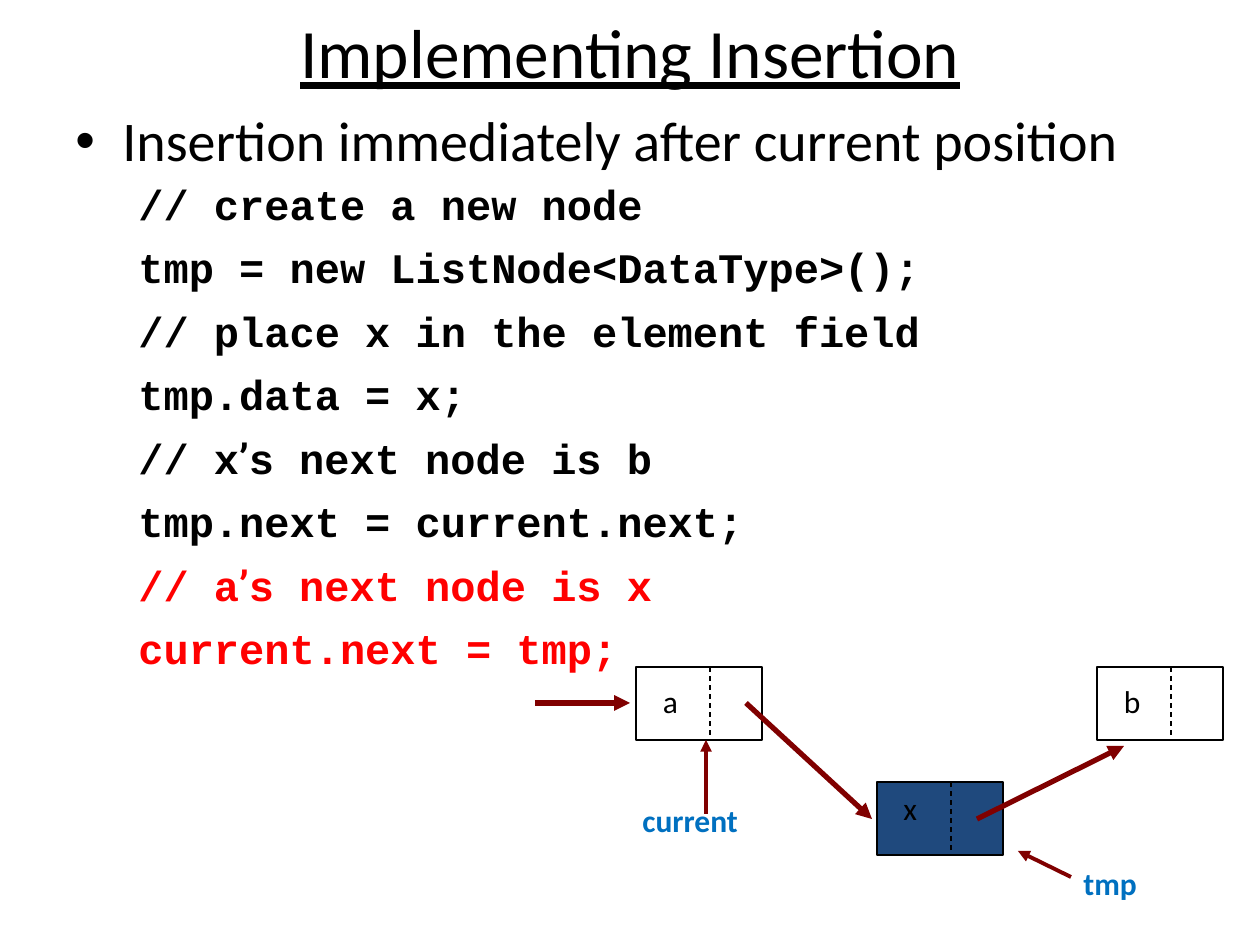
"""Builds the slide on inserting a node into a linked list."""
import pptx
import pptx.dml.color
import pptx.enum.dml
import pptx.enum.shapes
import pptx.enum.text
import pptx.oxml
import pptx.oxml.ns
import pptx.util

BLACK = pptx.dml.color.RGBColor(0x00, 0x00, 0x00)
RED = pptx.dml.color.RGBColor(0xFF, 0x00, 0x00)
MAROON = pptx.dml.color.RGBColor(0x80, 0x00, 0x00)
NAVY = pptx.dml.color.RGBColor(0x1F, 0x49, 0x7D)
BLUE = pptx.dml.color.RGBColor(0x00, 0x70, 0xC0)

NODE_WIDTH, NODE_HEIGHT, DIVIDER = 126, 73, 74
LIST_TOP, NEW_TOP = 667, 782
ANCHOR = pptx.enum.text.MSO_ANCHOR
ALIGN = pptx.enum.text.PP_ALIGN

CODE = [
    ("// create a new node", BLACK),
    ("tmp = new ListNode<DataType>();", BLACK),
    ("// place x in the element field", BLACK),
    ("tmp.data = x;", BLACK),
    ("// x’s next node is b", BLACK),
    ("tmp.next = current.next;", BLACK),
    ("// a’s next node is x", RED),
    ("current.next = tmp;", RED),
]


def px(length):
    return pptx.util.Emu(round(length * 914400 / 126))


def add_element(parent, tag, **attributes):
    element = pptx.oxml.ns.qn(f"a:{tag}")
    child = parent.makeelement(element, attributes)
    parent.append(child)


class ListSlide:
    """Holds the style and the current slide."""

    font = "Calibri"
    code_font = "Courier New"
    quote_font = "Roboto"

    def __init__(self, deck):
        self.slide = deck.slides.add_slide(deck.slide_layouts[5])

    def style(self, run, size, color, font=None, bold=False):
        run.font.name = font or self.font
        run.font.size = pptx.util.Pt(size)
        run.font.bold = bold
        run.font.color.rgb = color

    def title(self, text, left, top, width, height):
        title = self.slide.shapes.title
        title.left, title.top, title.width, title.height = map(px, (left, top, width, height))
        frame = title.text_frame
        frame.text = text
        frame.vertical_anchor = ANCHOR.MIDDLE
        frame.auto_size = pptx.enum.text.MSO_AUTO_SIZE.NONE
        heading = frame.paragraphs[0]
        heading.alignment = ALIGN.CENTER
        self.style(heading.runs[0], 39.6, BLACK)
        heading.runs[0].font.underline = True

    def text_box(self, left, top, width, height, wrap):
        box = self.slide.shapes.add_textbox(*map(px, (left, top, width, height)))
        box.text_frame.word_wrap = wrap
        return box.text_frame

    def box(self, left, top, width, height):
        box = self.slide.shapes.add_shape(
            pptx.enum.shapes.MSO_SHAPE.ROUNDED_RECTANGLE,
            *map(px, (left, top, width, height)),
        )
        box.adjustments[0] = 0
        box.shadow.inherit = False
        box.fill.background()
        box.line.fill.background()
        return box

    def name(self, text, left, top, width, height):
        frame = self.text_box(left, top, width, height, False)
        frame.text = text
        self.style(frame.paragraphs[0].runs[0], 18, BLACK)
        return frame

    def pointer(self, text, left, top, width, height):
        frame = self.box(left, top, width, height).text_frame
        frame.text = text
        frame.word_wrap = False
        frame.vertical_anchor = ANCHOR.TOP
        label = frame.paragraphs[0]
        label.alignment = ALIGN.LEFT
        label.line_spacing = 0.95
        self.style(label.runs[0], 18, BLUE, bold=True)

    def indent(self, paragraph, margin, hanging):
        properties = paragraph._p.get_or_add_pPr()
        properties.set("marL", str(px(margin)))
        properties.set("indent", str(-px(hanging)))
        return properties

    def steps(self, point, code, left, top, width, height):
        frame = self.text_box(left, top, width, height, True)
        frame.text = point
        bullet = frame.paragraphs[0]
        properties = self.indent(bullet, 47, 47)
        add_element(properties, "buFont", typeface="Arial")
        add_element(properties, "buChar", char="•")
        bullet.line_spacing = 0.93
        self.style(bullet.runs[0], 32, BLACK)
        for statement, color in code:
            line = frame.add_paragraph()
            line.level = 1
            self.indent(line, 102, 39)
            line.space_before = pptx.util.Pt(2.5)
            line.space_after = pptx.util.Pt(5)
            for part in statement.partition("’"):
                if part:
                    run = line.add_run()
                    run.text = part
                    font = self.quote_font if part == "’" else self.code_font
                    self.style(run, 24, color, font, bold=True)

    def line(self, start, end, color, width):
        line = self.slide.shapes.add_connector(
            pptx.enum.shapes.MSO_CONNECTOR.STRAIGHT, *map(px, start + end)
        )
        line.line.color.rgb = color
        line.line.width = pptx.util.Pt(width)
        add_element(line._element.spPr, "effectLst")
        return line

    def arrow(self, start, end, width=3):
        arrow = self.line(start, end, MAROON, width)
        add_element(arrow.line._get_or_add_ln(), "tailEnd", type="triangle")

    def node(self, left, top, fill=None):
        node = self.box(left, top, NODE_WIDTH, NODE_HEIGHT)
        if fill is not None:
            node.fill.solid()
            node.fill.fore_color.rgb = fill
        node.line.color.rgb = BLACK
        node.line.width = pptx.util.Pt(0.75)
        middle = left + DIVIDER
        divider = self.line((middle, top), (middle, top + NODE_HEIGHT), BLACK, 0.75)
        divider.line.dash_style = pptx.enum.dml.MSO_LINE.DASH

    def list_node(self, name, left):
        self.node(left, LIST_TOP)
        frame = self.name(name, left, LIST_TOP + 6, NODE_WIDTH, 60)
        frame.word_wrap = True
        frame.margin_left = px(27)
        frame.vertical_anchor = ANCHOR.MIDDLE
        frame.paragraphs[0].line_spacing = 0.95


def main():
    deck = pptx.Presentation()
    deck.slide_width, deck.slide_height = px(1260), px(945)
    page = ListSlide(deck)
    page.title("Implementing Insertion", 0, 7, 1260, 88)
    page.list_node("a", 636)
    page.list_node("b", 1097)
    page.node(877, NEW_TOP, NAVY)
    page.name("x", 891, NEW_TOP + 1, 47, 63)
    page.pointer("current", 630, 798, 135, 49)
    page.pointer("tmp", 1071, 861, 83, 49)
    page.arrow((535, 703), (630, 703))
    page.arrow((746, 703), (872, 819))
    page.arrow((977, 819), (1124, 746))
    page.arrow((706, 814), (706, 740), 2.25)
    page.arrow((1071, 877), (1018, 851), 2.25)
    page.steps("Insertion immediately after current position", CODE, 63, 105, 1149, 557)
    deck.save("out.pptx")


if __name__ == "__main__":
    main()
